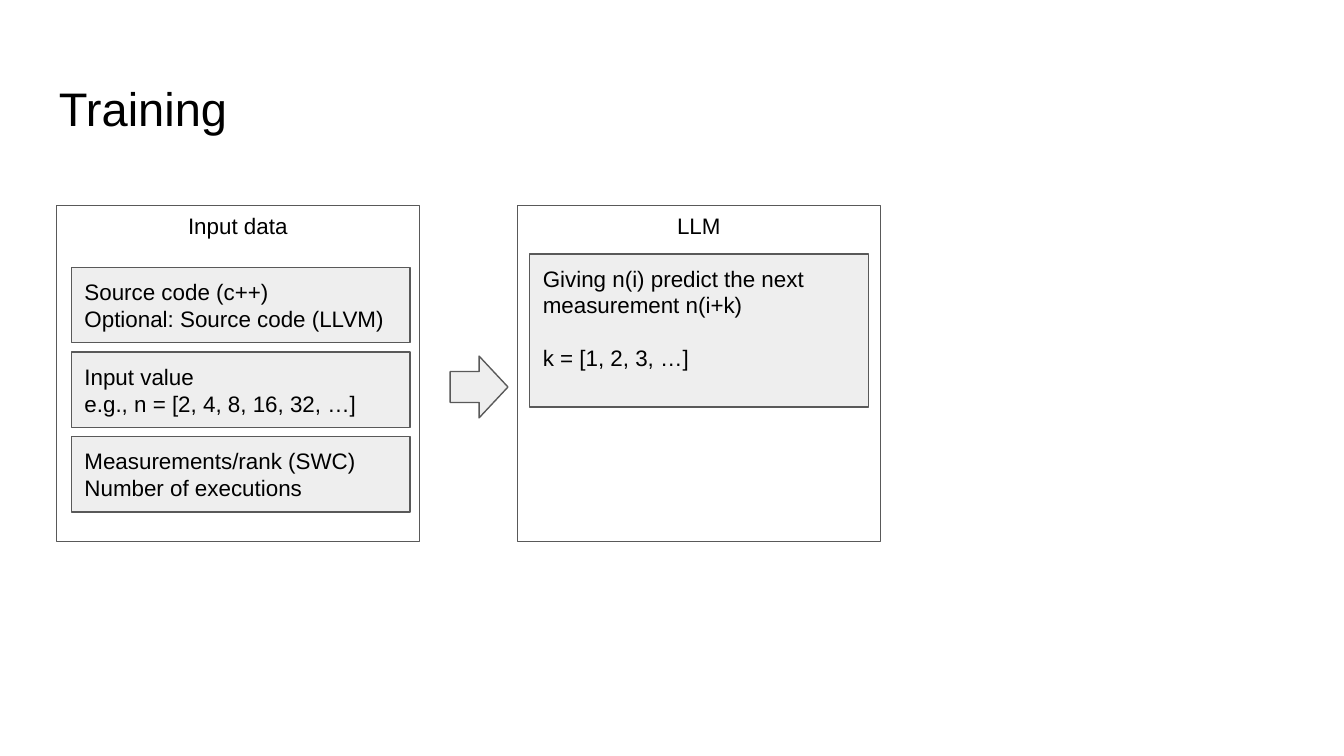
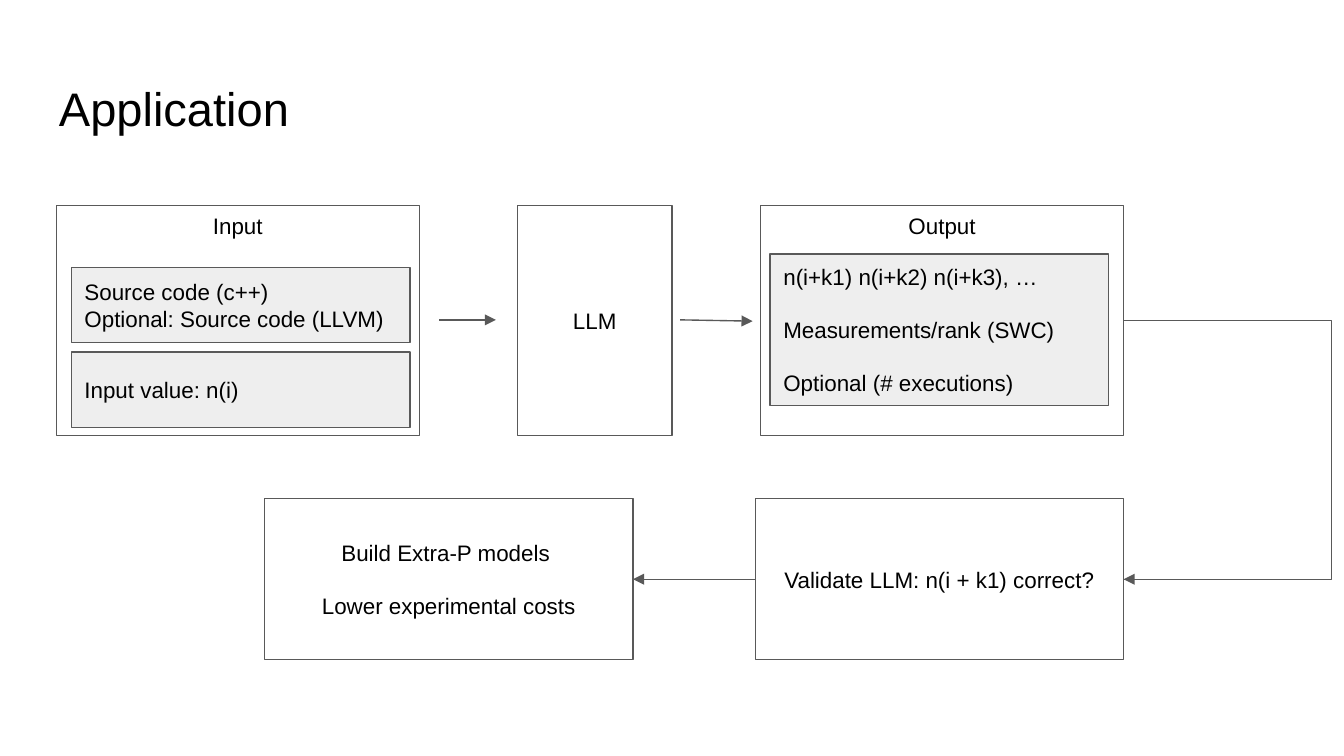
from lxml import etree
from pptx import Presentation
from pptx.dml.color import RGBColor
from pptx.enum.shapes import MSO_CONNECTOR, MSO_SHAPE
from pptx.enum.text import MSO_ANCHOR, PP_ALIGN
from pptx.oxml.ns import qn
from pptx.util import Pt

PX = 9144
COLORS = {"text": "000000", "line": "595959", "panel": "FFFFFF", "card": "EEEEEE"}
FONT = "Arial"
BODY_SIZE, TITLE_SIZE, LINE_WIDTH = 12, 25.2, 0.75
LINE_GAP = 14
INSET, HEADING_INSET, CARD_INSET = 10, 5, 8
RECT, RIGHT_ARROW = MSO_SHAPE.RECTANGLE, MSO_SHAPE.RIGHT_ARROW
STRAIGHT, ELBOW = MSO_CONNECTOR.STRAIGHT, MSO_CONNECTOR.ELBOW
TOP, MIDDLE = MSO_ANCHOR.TOP, MSO_ANCHOR.MIDDLE
LEFT, CENTER = PP_ALIGN.LEFT, PP_ALIGN.CENTER
LEFT_SITE, RIGHT_SITE = 1, 3

SLIDE_WIDTH = 1000
PANEL_TOP, PANEL_WIDTH = 153, 270
CARD_WIDTH, CARD_HEIGHT, CARD_PITCH = 252, 56, 63
FLOW_HEIGHT = 171
STEP_TOP, STEP_WIDTH, STEP_HEIGHT = 371, 274, 120
LOOP_SPAN = 600
SOURCE_CODE = ["Source code (c++)", "Optional: Source code (LLVM)"]


def rgb(name):
    """Return the named colour."""
    return RGBColor.from_string(COLORS[name])


def emu(*lengths):
    """Turn px lengths into EMU."""
    return [length * PX for length in lengths]


def write(frame, lines, size=BODY_SIZE, align=LEFT, anchor=TOP, inset_top=INSET, gap=0):
    """Write one paragraph per line, with a gap in points between them."""
    frame.word_wrap = True
    frame.vertical_anchor = anchor
    frame.margin_left, frame.margin_right, frame.margin_bottom = emu(INSET, INSET, INSET)
    frame.margin_top = inset_top * PX
    for index, line in enumerate(lines):
        paragraph = frame.add_paragraph() if index else frame.paragraphs[0]
        paragraph.alignment = align
        paragraph.space_before = Pt(gap if index else 0)
        run = paragraph.add_run()
        run.text = line
        run.font.name = FONT
        run.font.size = Pt(size)
        run.font.color.rgb = rgb("text")


def outlined(slide, box, fill, kind=RECT):
    """Add a filled preset shape with the thin grey outline."""
    shape = slide.shapes.add_shape(kind, *emu(*box))
    shape.shadow.inherit = False
    shape.fill.solid()
    shape.fill.fore_color.rgb = rgb(fill)
    shape.line.color.rgb = rgb("line")
    shape.line.width = Pt(LINE_WIDTH)
    return shape


def titled_slide(deck, title):
    """Add a blank slide with its title."""
    slide = deck.slides.add_slide(deck.slide_layouts[6])
    heading = slide.shapes.add_textbox(*emu(34, 49, 932, 63))
    write(heading.text_frame, [title], TITLE_SIZE)
    return slide


def panel(slide, box, heading):
    """Add a white panel with its heading at the top."""
    shape = outlined(slide, box, "panel")
    write(shape.text_frame, [heading], align=CENTER, inset_top=HEADING_INSET)
    return shape


def step(slide, box, lines):
    """Add a white box with centred lines."""
    shape = outlined(slide, box, "panel")
    write(shape.text_frame, lines, align=CENTER, anchor=MIDDLE, gap=LINE_GAP)
    return shape


def card(slide, box, lines, **style):
    """Add a grey card of text."""
    write(outlined(slide, box, "card").text_frame, lines, **style)


def input_panel(slide, box, heading, cards):
    """Add the input panel with its stack of cards."""
    left, top = box[:2]
    panel(slide, box, heading)
    for index, lines in enumerate(cards):
        place = (left + 11, top + 46 + index * CARD_PITCH, CARD_WIDTH, CARD_HEIGHT)
        card(slide, place, lines, anchor=MIDDLE)


def link(slide, start, end, kind=STRAIGHT, arrow=True):
    """Add a grey connector, with an arrowhead at its end if wanted."""
    connector = slide.shapes.add_connector(kind, *emu(*start, *end))
    connector.line.color.rgb = rgb("line")
    connector.line.width = Pt(LINE_WIDTH)
    if arrow:
        etree.SubElement(connector.line._get_or_add_ln(), qn("a:tailEnd"), type="triangle")
    etree.SubElement(connector._element.spPr, qn("a:effectLst"))
    return connector


def loop_back(slide, output, validate, reach):
    """Join the right sides of two boxes by a bend that reaches out to the right."""
    connector = link(slide, (836, 238), (836, 431), ELBOW, arrow=False)
    connector.begin_connect(output, RIGHT_SITE)
    connector.end_connect(validate, RIGHT_SITE)
    connector.width = LOOP_SPAN
    guides = connector._element.spPr.find(qn("a:prstGeom")).get_or_add_avLst()
    bend = reach * PX * 100000 // LOOP_SPAN
    etree.SubElement(guides, qn("a:gd"), name="adj1", fmla=f"val {bend}")


def training(deck):
    """Build the training slide."""
    slide = titled_slide(deck, "Training")
    outlined(slide, (335, 265, 43, 46), "card", RIGHT_ARROW)
    input_panel(slide, (42, PANEL_TOP, PANEL_WIDTH, 250), "Input data", [
        SOURCE_CODE,
        ["Input value", "e.g., n = [2, 4, 8, 16, 32, …]"],
        ["Measurements/rank (SWC)", "Number of executions"],
    ])
    panel(slide, (385, PANEL_TOP, PANEL_WIDTH, 250), "LLM")
    card(slide, (394, PANEL_TOP + 36, CARD_WIDTH, 114),
         ["Giving n(i) predict the next measurement n(i+k)", "k = [1, 2, 3, …]"],
         inset_top=CARD_INSET, gap=LINE_GAP)


def application(deck):
    """Build the application slide."""
    slide = titled_slide(deck, "Application")
    input_panel(slide, (42, PANEL_TOP, PANEL_WIDTH, FLOW_HEIGHT), "Input",
                [SOURCE_CODE, ["Input value: n(i)"]])
    step(slide, (385, PANEL_TOP, 115, FLOW_HEIGHT), ["LLM"])
    link(slide, (327, 238), (369, 238))
    output = panel(slide, (566, PANEL_TOP, PANEL_WIDTH, FLOW_HEIGHT), "Output")
    link(slide, (506, 238), (560, 239))
    card(slide, (573, PANEL_TOP + 36, CARD_WIDTH, 113),
         ["n(i+k1) n(i+k2) n(i+k3), …", "Measurements/rank (SWC)", "Optional (# executions)"],
         anchor=MIDDLE, gap=LINE_GAP)
    validate = step(slide, (562, STEP_TOP, STEP_WIDTH, STEP_HEIGHT),
                    ["Validate LLM: n(i + k1) correct?"])
    loop_back(slide, output, validate, 129)
    link(slide, (907, 431), (836, 431))
    to_build = link(slide, (562, 431), (471, 431))
    build = step(slide, (197, STEP_TOP, STEP_WIDTH, STEP_HEIGHT),
                 ["Build Extra-P models ", "Lower experimental costs"])
    to_build.begin_connect(validate, LEFT_SITE)
    to_build.end_connect(build, RIGHT_SITE)


def main():
    """Build the deck and save it."""
    deck = Presentation()
    deck.slide_width = SLIDE_WIDTH * PX
    deck.slide_height = deck.slide_width * 9 // 16
    training(deck)
    application(deck)
    deck.save("out.pptx")


if __name__ == "__main__":
    main()
